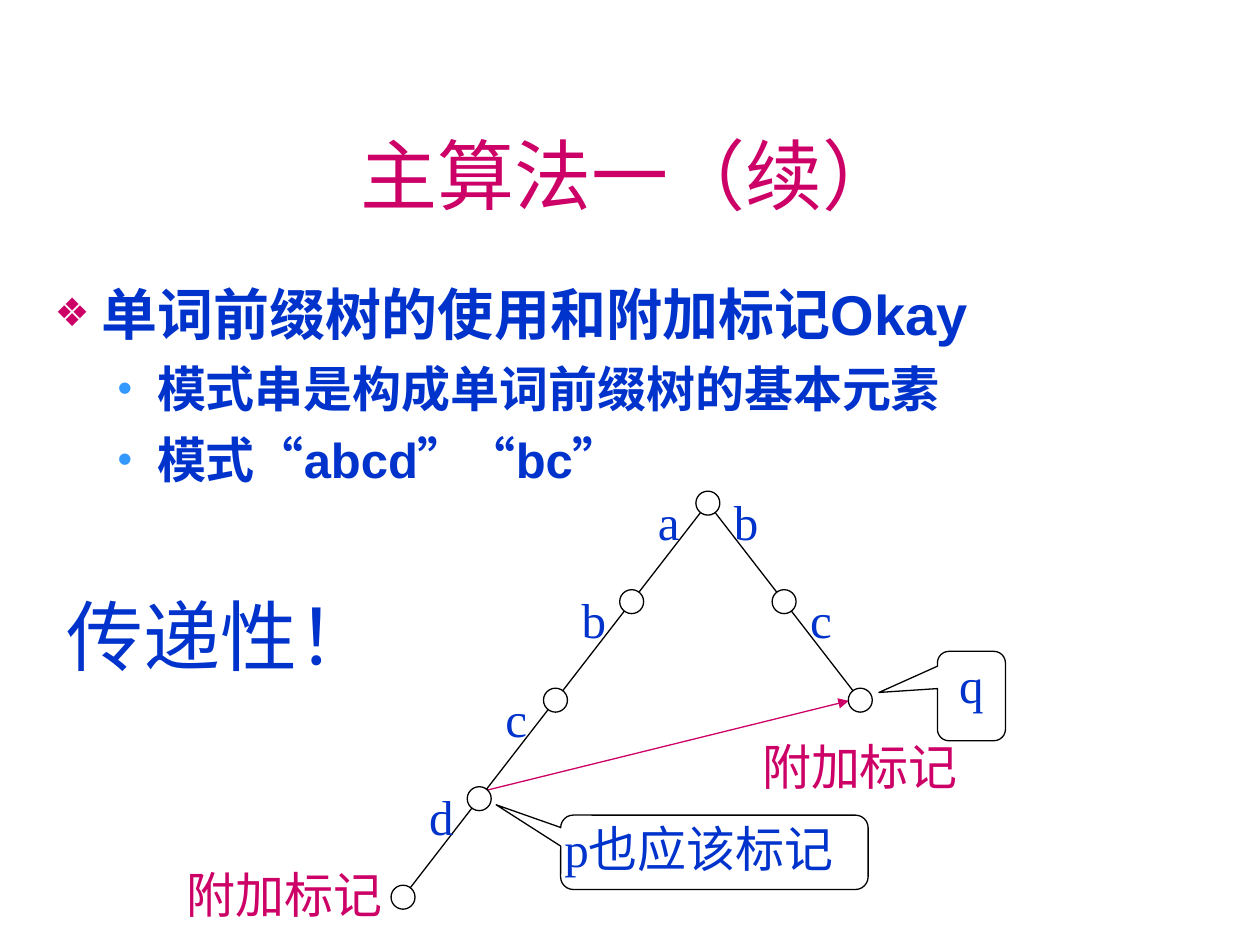
import pptx
import pptx.dml.color
import pptx.enum.shapes
import pptx.enum.text
import pptx.oxml
import pptx.oxml.ns
import pptx.util
from pptx.util import Pt

BLUE, PINK, BLACK, WHITE = "0033CC", "CC0066", "000000", "FFFFFF"
ALIGN = pptx.enum.text.PP_ALIGN
ANCHOR = pptx.enum.text.MSO_ANCHOR
SHAPE = pptx.enum.shapes.MSO_SHAPE


def color(code):
    return pptx.dml.color.RGBColor.from_string(code)


def write(box, text, size=28, font="Times New Roman", ink=BLUE, bold=False,
          align=ALIGN.LEFT, anchor=ANCHOR.TOP, inset=(0, 0), wrap=True,
          before=0, add=False):
    frame = box.text_frame
    frame.auto_size = pptx.enum.text.MSO_AUTO_SIZE.NONE
    frame.word_wrap = wrap
    frame.vertical_anchor = anchor
    frame.margin_left = frame.margin_right = Pt(inset[0])
    frame.margin_top = frame.margin_bottom = Pt(inset[1])
    para = frame.add_paragraph() if add else frame.paragraphs[0]
    para.alignment = align
    para.space_before = Pt(before)
    span = para.add_run()
    span.text = text
    span.font.size, span.font.name, span.font.bold = Pt(size), font, bold
    span.font.color.rgb = color(ink)
    return para


deck = pptx.Presentation()
deck.slide_width, deck.slide_height = Pt(720), Pt(540)
page = deck.slides.add_slide(deck.slide_layouts[1])
shapes = page.shapes
padding = (7.2, 3.6)

# Title
title = shapes.title
title.left, title.top, title.width, title.height = Pt(24), Pt(54), Pt(672), Pt(90)
write(title, "主算法一（续）", size=44, font="Arial", ink=PINK,
      align=ALIGN.CENTER, anchor=ANCHOR.MIDDLE, inset=padding)

# Bulleted list: text, level, size, space before, margin, hang, bullet, its colour and percent
body = page.placeholders[1]
body.left, body.top, body.width, body.height = Pt(24), Pt(156), Pt(672), Pt(306)
items = [
    ("单词前缀树的使用和附加标记Okay", 0, 32, 8, 27, 27, "❖", PINK, 70),
    ("模式串是构成单词前缀树的基本元素", 1, 28, 7, 58.5, 22.5, "•", "3399FF", 85),
    ("模式“abcd”“bc”", 1, 28, 7, 58.5, 22.5, "•", "3399FF", 85),
]
for index, (text, level, size, before, margin, hang, bullet, tint, percent) in enumerate(items):
    para = write(body, text, size=size, font="Arial", bold=True,
                 inset=padding, before=before, add=index > 0)
    para.level = level
    props = para._p.get_or_add_pPr()
    props.set("marL", str(Pt(margin)))
    props.set("indent", str(-Pt(hang)))
    space = pptx.oxml.ns.nsdecls("a")
    for xml in (f'<a:buClr {space}><a:srgbClr val="{tint}"/></a:buClr>',
                f'<a:buSzPct {space} val="{percent * 1000}"/>',
                f'<a:buFont {space} typeface="Arial"/>',
                f'<a:buChar {space} char="{bullet}"/>'):
        props.append(pptx.oxml.parse_xml(xml))

# Prefix tree: each branch runs down one side of the root
root_x, root_y, step_x, step_y = 404.5, 287.5, 43.55, 56.3
diameter, label_gap = 13.7, 21.7
nodes, edges, labels = [(root_x, root_y)], [], []
for side, word in ((-1, "abcd"), (1, "bc")):
    x, y = root_x, root_y
    for letter in word:
        child = (x + side * step_x, y + step_y)
        edges.append((x, y, *child, BLACK))
        labels.append((letter, x - diameter / 2 + side * label_gap, y - diameter / 2))
        nodes.append(child)
        x, y = child

# Edges, and the arrow that passes the mark on
mark_arrow = (278.5, 451.5, 485, 400.5, PINK)
for x1, y1, x2, y2, ink in edges + [mark_arrow]:
    line = shapes.add_connector(pptx.enum.shapes.MSO_CONNECTOR.STRAIGHT,
                                Pt(x1), Pt(y1), Pt(x2), Pt(y2))
    line.line.color.rgb = color(ink)
    line.line.width = Pt(0.75)
    if ink == PINK:
        line.line._get_or_add_ln().append(pptx.oxml.parse_xml(
            f'<a:tailEnd {pptx.oxml.ns.nsdecls("a")} type="triangle"/>'))
    line._element.spPr.append(pptx.oxml.parse_xml(
        f'<a:effectLst {pptx.oxml.ns.nsdecls("a")}/>'))

# Nodes and callouts: preset, left, top, width, height, adjustments, text, alignment
outlined = [(SHAPE.OVAL, x - diameter / 2, y - diameter / 2, diameter, diameter,
             (), "", None) for x, y in nodes]
outlined += [
    (SHAPE.ROUNDED_RECTANGULAR_CALLOUT, 320.4, 465.8, 175.7, 42.5,
     (-0.71, -0.64, 0.17), "p也应该标记", ALIGN.JUSTIFY),
    (SHAPE.ROUNDED_RECTANGULAR_CALLOUT, 535.7, 372.2, 38.9, 51.1,
     (-1.36, -0.04, 0.17), "q", ALIGN.CENTER),
]
for preset, left, top, width, height, adjustments, text, align in outlined:
    shape = shapes.add_shape(preset, Pt(left), Pt(top), Pt(width), Pt(height))
    shape.shadow.inherit = False
    shape.fill.solid()
    shape.fill.fore_color.rgb = color(WHITE)
    shape.line.color.rgb = color(BLACK)
    shape.line.width = Pt(0.75)
    for index, value in enumerate(adjustments):
        shape.adjustments[index] = value
    if text:
        write(shape, text, align=align)

# Edge letters
for letter, left, top in labels:
    box = shapes.add_textbox(Pt(left), Pt(top), Pt(21.6), Pt(37.4))
    write(box, letter, align=ALIGN.JUSTIFY)

# Marks beside the two leaves
for left, top in ((99.4, 490.3), (428.4, 417.6)):
    box = shapes.add_textbox(Pt(left), Pt(top), Pt(126), Pt(41))
    write(box, "附加标记", font="Arial", ink=PINK, inset=padding, wrap=False)

# Remark
remark = shapes.add_textbox(Pt(31), Pt(332.6), Pt(193), Pt(60.5))
write(remark, "传递性！", size=44, font="Arial", inset=padding, before=27.5)

deck.save("out.pptx")
